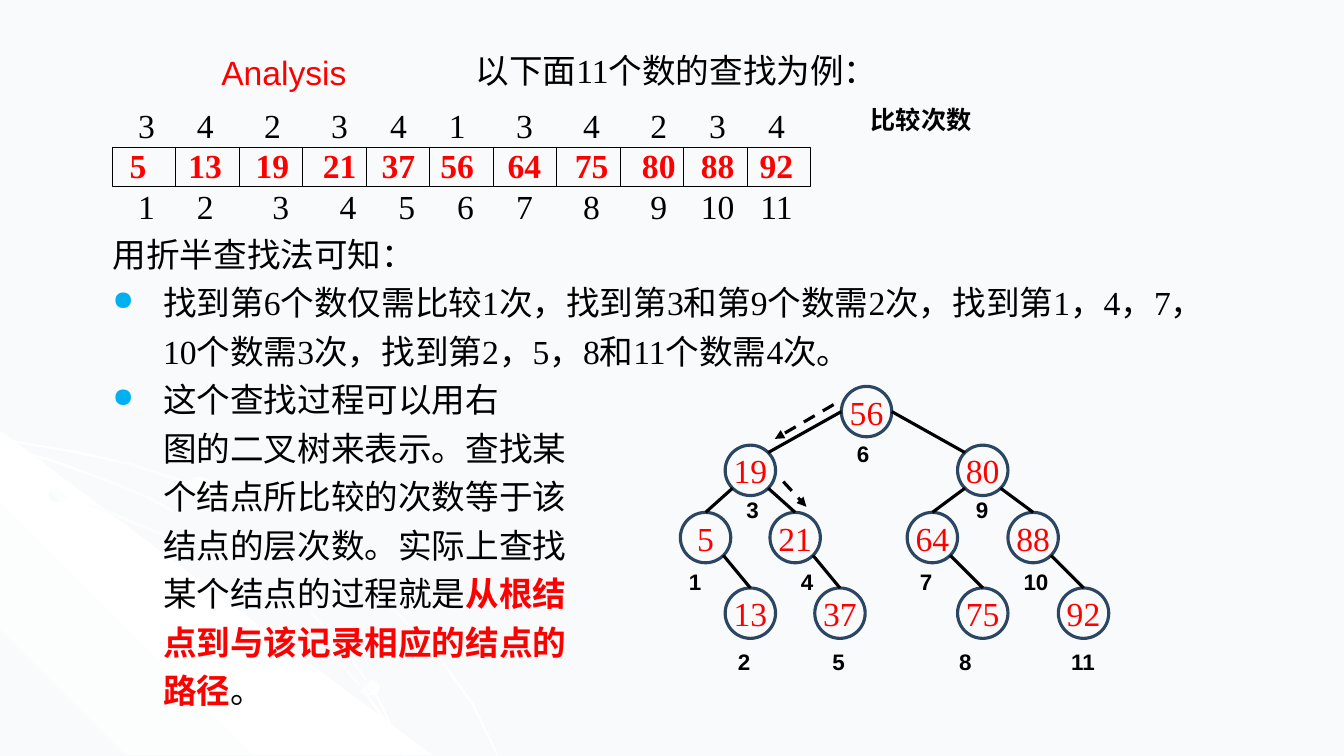
from math import sqrt

from lxml import etree
from pptx import Presentation
from pptx.dml.color import RGBColor as Rgb
from pptx.enum.dml import MSO_LINE_DASH_STYLE as Dash
from pptx.enum.shapes import MSO_CONNECTOR as Connector
from pptx.enum.shapes import MSO_SHAPE as Shape
from pptx.enum.text import MSO_ANCHOR as Anchor
from pptx.enum.text import PP_ALIGN as Align
from pptx.oxml import parse_xml
from pptx.oxml.ns import nsdecls, qn
from pptx.util import Pt

COLORS = {
    "paper": "F9FAFB", "white": "FFFFFF", "ink": "000000",
    "red": "FF0000", "ring": "2B4663", "bullet": "00B0F0",
}
SERIF, SANS = "Times New Roman", "Arial"
NODE = 36
CELL_LEFT, CELL_TOP, CELL_WIDTH, CELL_HEIGHT = 80.3, 105.3, 45.36, 28.1
COMPARISONS_TOP, INDEX_TOP = 76.3, 134.2

# Centres of the eleven number columns
COLUMNS = [104.6, 146.6, 194.6, 242.6, 284.6, 326.6, 374.6, 422.6, 470.6, 512.6, 554.6]
VALUE_COLUMNS = [98.6] + COLUMNS[1:]
INDEX_COLUMNS = COLUMNS[:2] + [200.6, 248.6, 290.6, 332.6] + COLUMNS[6:]
COMPARISONS = [3, 4, 2, 3, 4, 1, 3, 4, 2, 3, 4]
VALUES = [5, 13, 19, 21, 37, 56, 64, 75, 80, 88, 92]

LEVEL_TOPS = [276, 318, 366, 420]
LABEL_TOPS = [311, 351, 402.5, 459.5]
# value: (level, left, label left, parent)
TREE = {
    56: (0, 601, 605, None),
    19: (1, 518, 526, 56), 80: (1, 684, 690, 56),
    5: (2, 486, 485, 19), 21: (2, 550, 565, 19),
    64: (2, 648, 650, 80), 88: (2, 720, 724, 80),
    13: (3, 518, 520, 5), 37: (3, 582, 587.5, 21),
    75: (3, 684, 678, 64), 92: (3, 756, 758, 88),
}
SEARCH_STEPS = [(595.5, 289, 553.5, 313.5), (559.5, 344, 576, 362)]

HANGING_LINES = [
    "图的二叉树来表示。查找某", "个结点所比较的次数等于该", "结点的层次数。实际上查找",
]
SWOOSHES = [
    [(0, 313), (54, 322), (94, 331), (131, 343), (167, 358), (201, 375), (232, 395),
     (261, 416), (288, 441), (312, 466), (338, 502), (356, 539)],
    [(0, 342), (39, 351), (76, 364), (112, 379), (146, 395), (177, 415), (206, 436),
     (233, 461), (256, 487), (275, 513), (290, 539)],
    [(0, 318), (37, 328), (73, 341), (107, 355), (138, 372), (168, 391), (196, 413),
     (220, 434), (244, 460), (258, 479), (271, 499), (290, 539)],
]
SPOTS = [(34.6, 347.8, 14.4, 10.8, 315), (256.3, 485.3, 15.1, 11.5, 45),
         (131.8, 340.6, 20.2, 15.1, 315)]


def rgb(color):
    return Rgb.from_string(COLORS[color])


class SlideWriter:
    def __init__(self, slide, size=24):
        self.shapes = slide.shapes
        self.size = size

    def run(self, paragraph, text, font=SERIF, size=None, color="ink", bold=False):
        run = paragraph.add_run()
        run.text = str(text)
        run.font.name, run.font.size = font, Pt(size or self.size)
        run.font.color.rgb, run.font.bold = rgb(color), bold

    def gradient(self, shape, colors, angle):
        """Spread the colours evenly over a shape without a line."""
        shape.shadow.inherit = False
        shape.line.fill.background()
        shape.fill.background()
        step = 100000 // (len(colors) - 1)
        stops = "".join(
            f'<a:gs pos="{i * step}"><a:srgbClr val="{COLORS[c]}"/></a:gs>'
            for i, c in enumerate(colors))
        plain = shape._element.spPr.find(qn("a:noFill"))
        plain.getparent().replace(plain, parse_xml(
            f'<a:gradFill {nsdecls("a")} rotWithShape="1"><a:gsLst>{stops}</a:gsLst>'
            f'<a:lin ang="{angle * 60000}" scaled="0"/></a:gradFill>'))

    def outline(self, points, colors, angle):
        start, *rest = [(Pt(x), Pt(y)) for x, y in points]
        builder = self.shapes.build_freeform(*start)
        builder.add_line_segments(rest, close=True)
        self.gradient(builder.convert_to_shape(), colors, angle)

    def preset(self, kind, left, top, width, height, line=None, weight=0.75, fill=None):
        shape = self.shapes.add_shape(kind, Pt(left), Pt(top), Pt(width), Pt(height))
        shape.shadow.inherit = False
        shape.fill.background()
        if fill:
            shape.fill.solid()
            shape.fill.fore_color.rgb = rgb(fill)
        shape.line.fill.background()
        if line:
            shape.line.color.rgb = rgb(line)
            shape.line.width = Pt(weight)
        return shape

    def node(self, value, left, top):
        frame = self.preset(Shape.OVAL, left, top, NODE, NODE, "ring", 2.25).text_frame
        frame.word_wrap = False
        frame.vertical_anchor = Anchor.MIDDLE
        frame.paragraphs[0].alignment = Align.CENTER
        self.run(frame.paragraphs[0], value, color="red")

    def line(self, x1, y1, x2, y2, arrow=False):
        line = self.shapes.add_connector(
            Connector.STRAIGHT, Pt(x1), Pt(y1), Pt(x2), Pt(y2))
        line.line.color.rgb = rgb("ink")
        line.line.width = Pt(2.25)
        if arrow:
            line.line.dash_style = Dash.DASH
            etree.SubElement(line.line._get_or_add_ln(), qn("a:tailEnd"), type="triangle")
        etree.SubElement(line._element.spPr, qn("a:effectLst"))

    def frame(self, left, top, width, height, wrap=False):
        box = self.shapes.add_textbox(Pt(left), Pt(top), Pt(width), Pt(height))
        box.text_frame.word_wrap = wrap
        return box.text_frame

    def text(self, left, top, width, height, text, **style):
        self.run(self.frame(left, top, width, height).paragraphs[0], text, **style)

    def number(self, frame, number, shift=0, **style):
        """Centre a number in its frame, moved right by the shift."""
        frame.word_wrap = True
        frame.vertical_anchor = Anchor.MIDDLE
        frame.margin_left, frame.margin_right = Pt(max(2 * shift, 0)), Pt(max(-2 * shift, 0))
        frame.margin_top, frame.margin_bottom = 0, Pt(3)
        frame.paragraphs[0].alignment = Align.CENTER
        self.run(frame.paragraphs[0], number, **style)

    def prose(self, frame, text, indent=0, bullet=False, emphasis="", ending=""):
        first = frame.paragraphs[0]
        paragraph = frame.add_paragraph() if first.runs else first
        paragraph.line_spacing = Pt(34.6)
        props = paragraph._p.get_or_add_pPr()
        props.set("marL", str(Pt(36)))
        props.set("indent", str(Pt(indent)))
        if bullet:
            color = etree.SubElement(props, qn("a:buClr"))
            etree.SubElement(color, qn("a:srgbClr"), val=COLORS["bullet"])
            etree.SubElement(props, qn("a:buSzPct"), val="80000")
            etree.SubElement(props, qn("a:buChar"), char="●")
        if text:
            self.run(paragraph, text)
        if emphasis:
            self.run(paragraph, emphasis, color="red", bold=True)
        if ending:
            self.run(paragraph, ending)


def draw_backdrop(writer):
    writer.outline([(309, 539.5), (0, 539.5), (0, 307.5)], ["paper", "white", "paper"], 315)
    for edge in SWOOSHES:
        lower = [(max(x - 1, 0), y + 1.5) for x, y in reversed(edge)]
        writer.outline(edge + lower, ["white", "paper", "white"], 45)
    for left, top, width, height, angle in SPOTS:
        spot = writer.preset(Shape.OVAL, left, top, width, height)
        writer.gradient(spot, ["paper", "white"], angle)


def draw_array(writer):
    for column, (value, centre) in enumerate(zip(VALUES, VALUE_COLUMNS)):
        left = CELL_LEFT + column * CELL_WIDTH
        cell = writer.preset(Shape.RECTANGLE, left, CELL_TOP, CELL_WIDTH, CELL_HEIGHT, "ink")
        writer.number(cell.text_frame, value, centre - left - CELL_WIDTH / 2,
                      color="red", bold=True)
    for top, numbers, centres in ((COMPARISONS_TOP, COMPARISONS, COLUMNS),
                                  (INDEX_TOP, range(1, 12), INDEX_COLUMNS)):
        for number, centre in zip(numbers, centres):
            writer.number(writer.frame(centre - 20, top, 40, 28.8), number)


def draw_explanation(writer):
    body = writer.frame(73.4, 157.7, 802.8, 357.1, wrap=True)
    writer.prose(body, "用折半查找法可知：", -36)
    writer.prose(body, "找到第6个数仅需比较1次，找到第3和第9个数需2次，找到第1，4，7，10个数需3次，"
                 "找到第2，5，8和11个数需4次。", -36, bullet=True)
    writer.prose(body, "这个查找过程可以用右", -36, bullet=True)
    for sentence in HANGING_LINES:
        writer.prose(body, sentence)
    writer.prose(body, "某个结点的过程就是", emphasis="从根结")
    writer.prose(body, "", emphasis="点到与该记录相应的结点的")
    writer.prose(body, "", emphasis="路径", ending="。")


def draw_branch(writer, child, parent):
    """Join the root's side to a child's shoulder, any other parent's foot to a child's top."""
    level, left, _, _ = TREE[child]
    parent_level, parent_left, _, _ = TREE[parent]
    radius = NODE / 2
    diagonal = radius / sqrt(2)
    side = 1 if left > parent_left else -1
    x1, y1 = parent_left + radius, LEVEL_TOPS[parent_level] + radius
    x2, y2 = left + radius, LEVEL_TOPS[level] + radius
    if parent_level == 0:
        writer.line(x1 + side * radius, y1, x2 - side * diagonal, y2 - diagonal)
    else:
        writer.line(x1 + side * diagonal, y1 + diagonal, x2, y2 - radius)


def draw_tree(writer):
    for value, (level, left, label_left, parent) in TREE.items():
        writer.node(value, left, LEVEL_TOPS[level])
        if parent:
            draw_branch(writer, value, parent)
        index = VALUES.index(value) + 1
        writer.text(label_left, LABEL_TOPS[level], 32 if index > 9 else 23, 26.6,
                    index, font=SANS, size=16, bold=True)
    for step in SEARCH_STEPS:
        writer.line(*step, arrow=True)


def main():
    deck = Presentation()
    deck.slide_width, deck.slide_height = Pt(960), Pt(540)
    slide = deck.slides.add_slide(deck.slide_layouts[6])
    slide.background.fill.solid()
    slide.background.fill.fore_color.rgb = rgb("paper")
    writer = SlideWriter(slide)
    draw_backdrop(writer)
    draw_explanation(writer)
    draw_tree(writer)
    heading = writer.preset(Shape.RECTANGLE, 151, 33.5, 104, 36, fill="paper").text_frame
    heading.word_wrap = False
    heading.paragraphs[0].alignment = Align.LEFT
    writer.run(heading.paragraphs[0], "Analysis", font=SANS, color="red")
    draw_array(writer)
    writer.text(332.6, 32, 301.7, 36, "以下面11个数的查找为例：")
    writer.text(614.9, 71.3, 87.1, 28.8, "比较次数", font=SANS, size=18, bold=True)
    deck.save("out.pptx")


if __name__ == "__main__":
    main()
